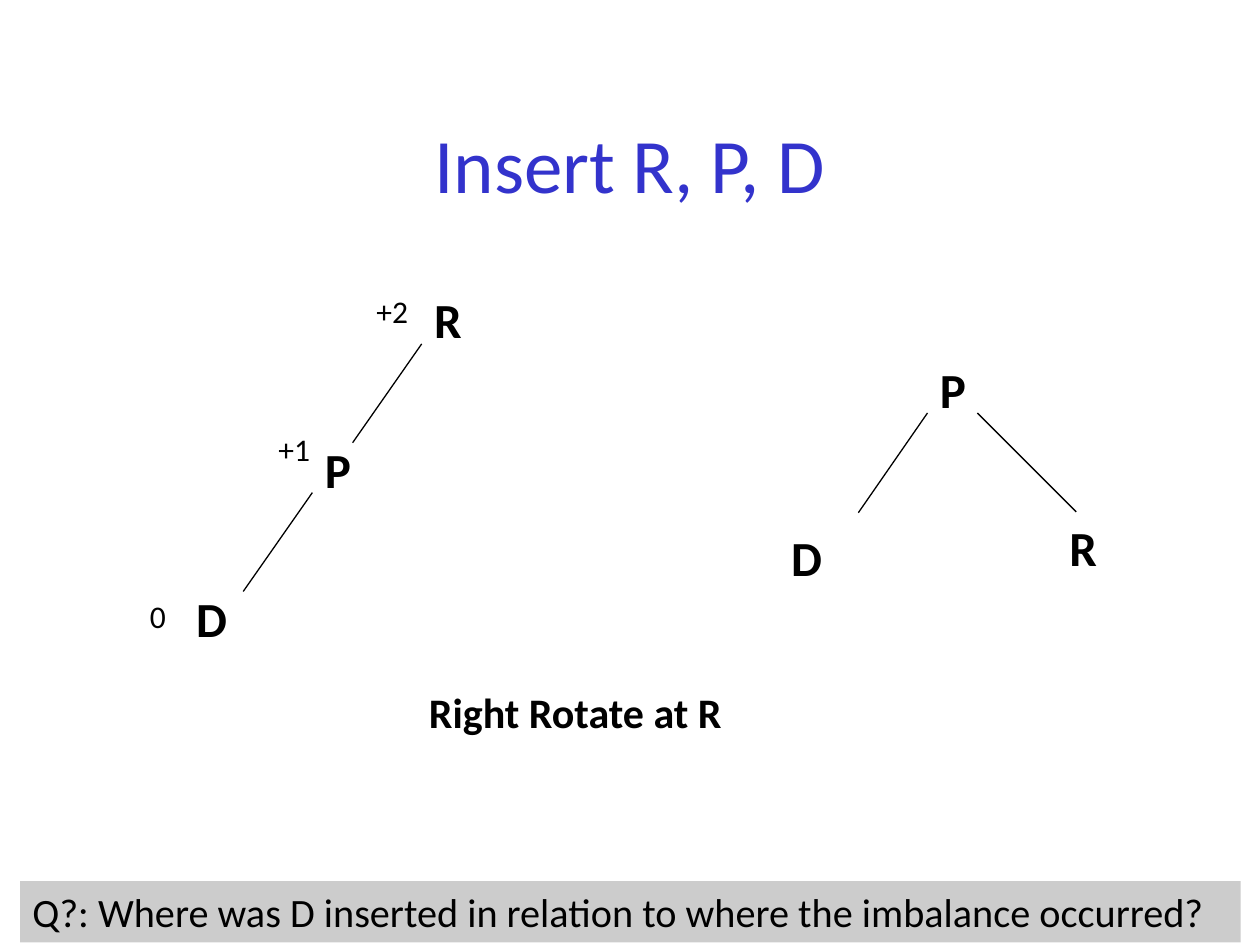
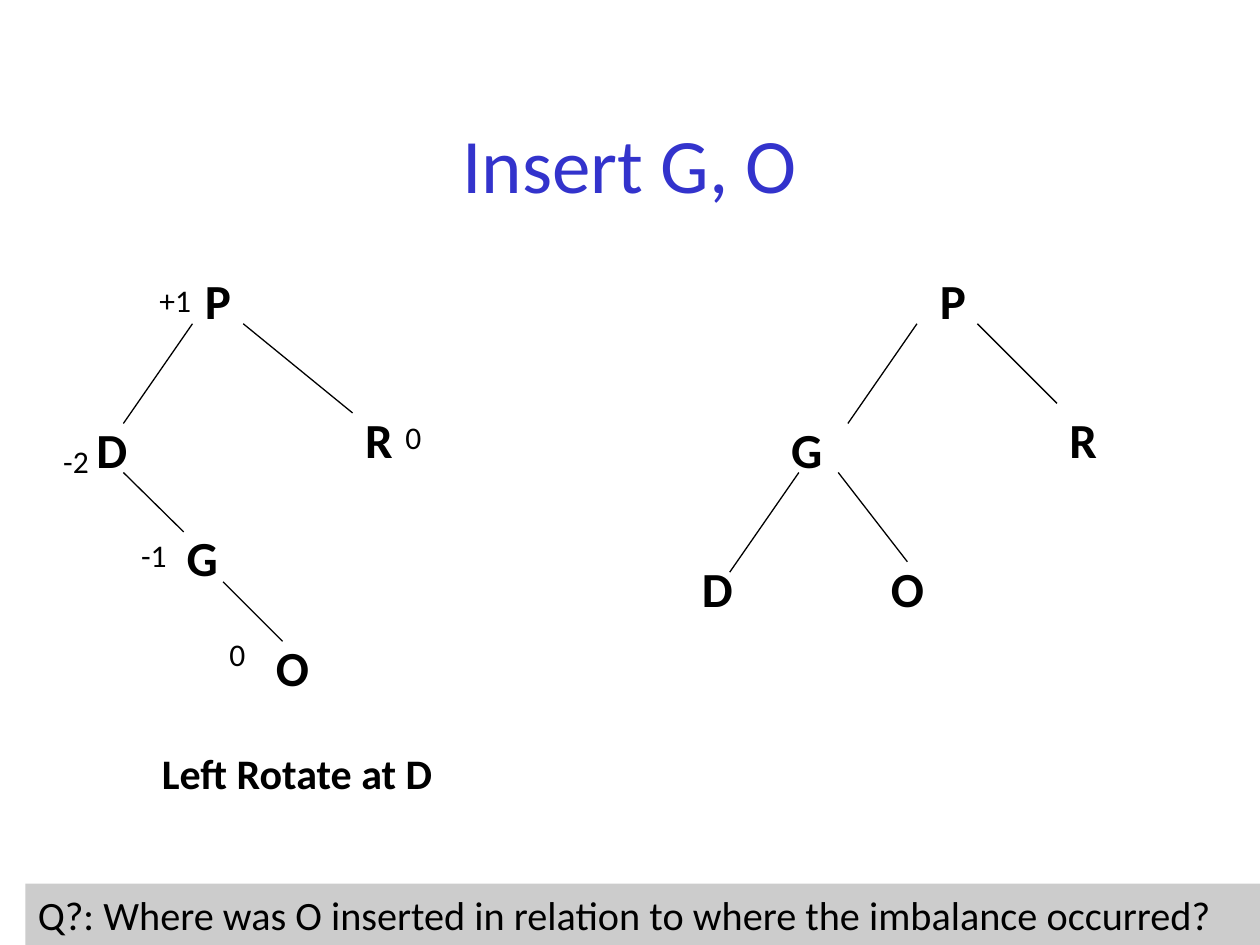
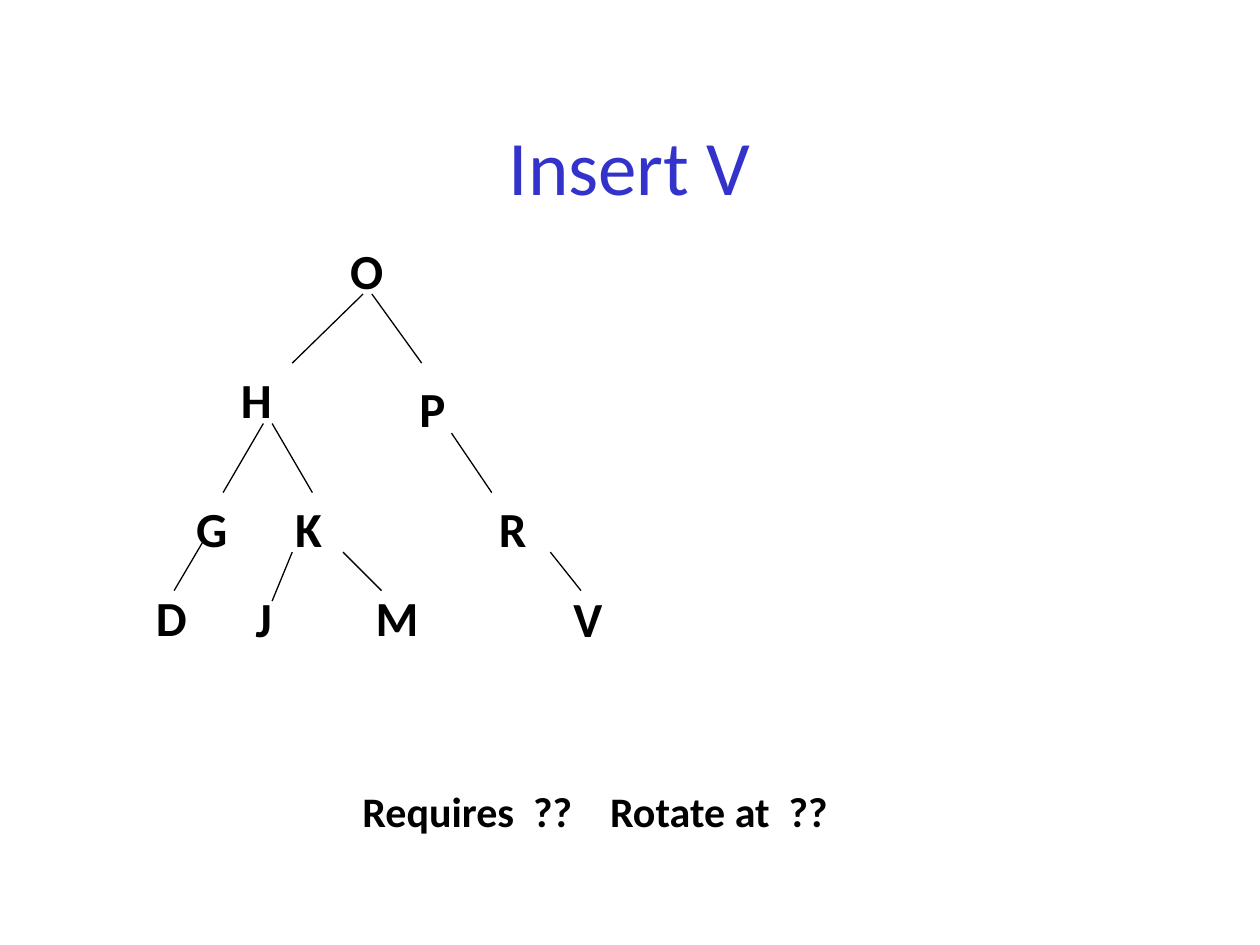
from lxml import etree
from pptx import Presentation
from pptx.dml.color import RGBColor
from pptx.enum import shapes, text
from pptx.oxml import ns
from pptx.util import Pt

FONT = "Calibri"
BLACK, TITLE_BLUE, BAND_GRAY = "000000", "3333CC", "CCCCCC"
NODE_SIZE = (39.6, 41)
BALANCE_SIZE = (33.6, 29)


def color(hex_string):
    return RGBColor.from_string(hex_string)


# Text elements
def write(box, words, size, ink=BLACK, bold=False, centered=False):
    frame = box.text_frame
    frame.word_wrap = True
    frame.auto_size = text.MSO_AUTO_SIZE.SHAPE_TO_FIT_TEXT
    frame.vertical_anchor = text.MSO_ANCHOR.TOP
    para = frame.paragraphs[0]
    para.text = words
    para.alignment = text.PP_ALIGN.CENTER if centered else text.PP_ALIGN.LEFT
    para.font.name = FONT
    para.font.size = Pt(size)
    para.font.bold = bold
    para.font.color.rgb = color(ink)


def add_text(canvas, words, left, top, width, height, size, **style):
    box = canvas.add_textbox(Pt(left), Pt(top), Pt(width), Pt(height))
    write(box, words, size, **style)
    return box


def add_title(page, words, top=48):
    box = add_text(page.shapes, words, 54, top, 612, 90, 44,
                   ink=TITLE_BLUE, centered=True)
    box.text_frame.auto_size = text.MSO_AUTO_SIZE.NONE
    box.text_frame.vertical_anchor = text.MSO_ANCHOR.MIDDLE


def add_caption(canvas, words, left, top, width=209.5):
    add_text(canvas, words, left, top, width, 36, 24, bold=True, centered=True)


def add_balance(canvas, factor, left, top):
    add_text(canvas, factor, left, top, *BALANCE_SIZE, 18)


def add_question(page, letter, left, top, width):
    band = page.shapes.add_shape(shapes.MSO_SHAPE.RECTANGLE,
                                 Pt(left), Pt(top), Pt(width), Pt(35))
    band.shadow.inherit = False
    band.fill.solid()
    band.fill.fore_color.rgb = color(BAND_GRAY)
    band.line.fill.background()
    write(band, f"Q?: Where was {letter} inserted in relation to "
                "where the imbalance occurred?", 23)


# Trees
def add_edge(canvas, *ends):
    edge = canvas.add_connector(shapes.MSO_CONNECTOR.STRAIGHT,
                                *(Pt(end) for end in ends))
    edge.line.width = Pt(0.75)
    edge.line.color.rgb = color(BLACK)
    etree.SubElement(edge._element.spPr, ns.qn("a:effectLst"))


def add_tree(canvas, nodes, edges, balances=()):
    for letter, left, top in nodes:
        add_text(canvas, letter, left, top, *NODE_SIZE, 28, bold=True)
    for ends in edges:
        add_edge(canvas, *ends)
    for balance in balances:
        add_balance(canvas, *balance)


def add_page(deck):
    return deck.slides.add_slide(deck.slide_layouts[6])


# Slides
def right_rotation(deck):
    page = add_page(deck)
    add_title(page, "Insert R, P, D")
    add_tree(
        page.shapes,
        [("R", 241, 162), ("P", 178.5, 247.5), ("D", 105, 332.5)],
        [(241, 196.5, 201.5, 253), (178.5, 281.5, 139, 338)],
        [("+2", 208, 163.5), ("+1", 152, 242), ("0", 78.5, 337.5)])
    add_tree(
        page.shapes,
        [("P", 530, 202), ("D", 445, 298), ("R", 604, 292)],
        [(530, 236, 490.5, 293), (558.5, 236, 615, 292.5)])
    add_caption(page.shapes, "Right Rotate at R", 224, 389)
    add_question(page, "D", 11.5, 503.5, 697.5)


def left_rotation(deck):
    page = add_page(deck)
    add_title(page, "Insert G, O")
    balanced = page.shapes.add_group_shape().shapes
    add_tree(
        balanced,
        [("P", 530, 151), ("G", 445, 236), ("R", 604, 230.5),
         ("D", 394, 315.5), ("O", 502, 315.5)],
        [(524, 185, 484.5, 242), (558.5, 185, 604, 230.5),
         (456.5, 270, 417, 327), (479, 270, 518.5, 321)])
    unbalanced = page.shapes.add_group_shape().shapes
    add_tree(
        unbalanced,
        [("P", 110, 151), ("D", 48, 236), ("R", 201.5, 230.5),
         ("G", 99.5, 298), ("O", 150.5, 360.5)],
        [(110, 185, 70.5, 242), (139, 185, 201.5, 236),
         (70.5, 270, 105, 304), (127.5, 332.5, 161.5, 366.5)],
        [("+1", 84, 157), ("0", 224.5, 235.5),
         ("-1", 73.5, 303), ("0", 124, 359.5)])
    add_caption(unbalanced, "Left Rotate at D", 65, 423.5)
    add_balance(page.shapes, "-2", 29, 249)
    add_question(page, "O", 14.5, 505, 705.5)


def open_exercise(deck):
    page = add_page(deck)
    add_title(page, "Insert V", top=49)
    add_tree(
        page.shapes,
        [("O", 193, 134), ("H", 130.5, 207.5), ("P", 232.5, 213),
         ("G", 105, 281.5), ("K", 161.5, 281.5), ("R", 278, 281.5),
         ("D", 82, 332), ("J", 139, 332.5), ("M", 207.5, 332),
         ("V", 320.5, 332.5)],
        [(207.5, 168, 167, 207.5), (212.5, 168, 241, 207.5),
         (150.5, 242, 127.5, 281.5), (155.5, 242, 178.5, 281.5),
         (258, 247.5, 281, 281.5), (116, 309.5, 99.5, 337.5),
         (167, 315.5, 155.5, 343.5), (196, 315.5, 218, 337.5),
         (314.5, 315.5, 332, 337.5)])
    add_caption(page.shapes, "Requires  ??    Rotate at  ??", 190, 445.5, 300)


def main():
    deck = Presentation()
    deck.slide_width, deck.slide_height = Pt(720), Pt(540)
    right_rotation(deck)
    left_rotation(deck)
    open_exercise(deck)
    deck.save("out.pptx")


if __name__ == "__main__":
    main()
